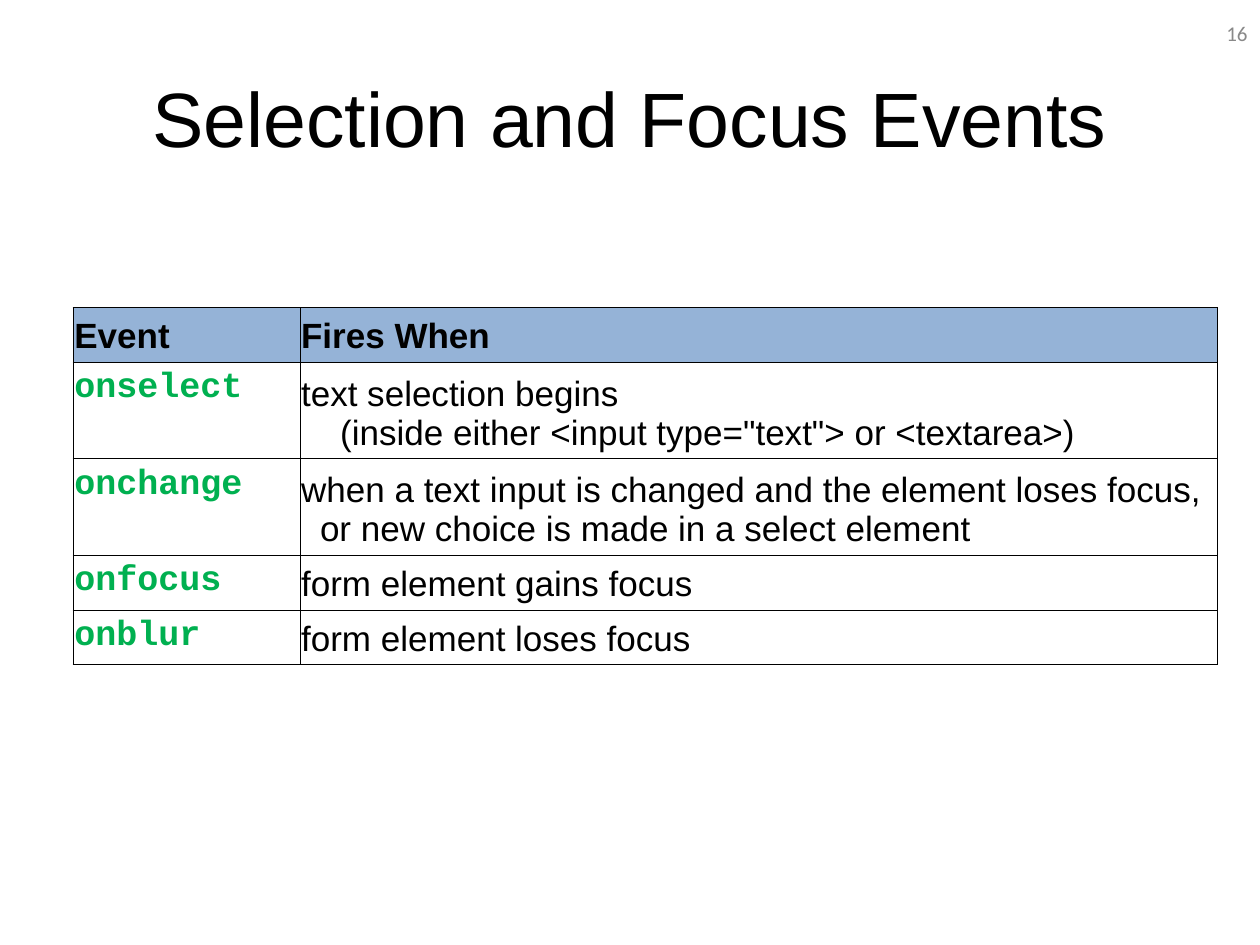
from lxml.etree import SubElement
from pptx import Presentation
from pptx.dml.color import RGBColor
from pptx.enum.text import MSO_ANCHOR, PP_ALIGN
from pptx.oxml.ns import qn
from pptx.util import Inches, Pt

BLACK, GREEN, GRAY, HEADER_BLUE = "000000", "00B050", "898989", "95B3D7"
COLUMN_WIDTHS = (1.8, 7.28)
LINE_HEIGHT = 0.34
HEADINGS = ("Event", "Fires When")
# Event name, description lines, indent of the second line in inches
EVENTS = [
    ("onselect", ["text selection begins",
                  '(inside either <input type="text"> or <textarea>)'], 0.31),
    ("onchange", ["when a text input is changed and the element loses focus,",
                  "or new choice is made in a select element"], 0.15),
    ("onfocus", ["form element gains focus"], 0),
    ("onblur", ["form element loses focus"], 0),
]


def color(value):
    return RGBColor.from_string(value)


def add_run(paragraph, text, size, font_name="Arial", font_color=BLACK, bold=False):
    run = paragraph.add_run()
    run.text = text
    run.font.size = Pt(size)
    run.font.name = font_name
    run.font.bold = bold
    run.font.color.rgb = color(font_color)


def set_title(slide, text):
    title = slide.shapes.title
    title.left, title.top = Inches(0.5), Inches(0.3)
    title.width, title.height = Inches(9), Inches(1.25)
    title.text_frame.vertical_anchor = MSO_ANCHOR.MIDDLE
    paragraph = title.text_frame.paragraphs[0]
    paragraph.alignment = PP_ALIGN.CENTER
    add_run(paragraph, text, 44)


def add_page_number(slide, number):
    box = slide.shapes.add_textbox(Inches(9.25), 0, Inches(0.75), Inches(0.52))
    box.text_frame.word_wrap = True
    box.text_frame.vertical_anchor = MSO_ANCHOR.MIDDLE
    paragraph = box.text_frame.paragraphs[0]
    paragraph.alignment = PP_ALIGN.RIGHT
    add_run(paragraph, number, 12, "Calibri", GRAY)


def add_borders(cell):
    properties = cell._tc.get_or_add_tcPr()
    for side in ("a:lnL", "a:lnR", "a:lnT", "a:lnB"):
        line = SubElement(properties, qn(side), w=str(Pt(0.45)))
        fill = SubElement(line, qn("a:solidFill"))
        SubElement(fill, qn("a:srgbClr"), val=BLACK)


def fill_cell(cell, lines, indent=0, anchor=MSO_ANCHOR.BOTTOM, fill=None, **run_format):
    """Write the lines as paragraphs, indenting all but the first."""
    cell.margin_left = cell.margin_right = Inches(0.01)
    cell.margin_top = cell.margin_bottom = Inches(0.05)
    cell.vertical_anchor = anchor
    add_borders(cell)
    if fill:
        cell.fill.solid()
        cell.fill.fore_color.rgb = color(fill)
    else:
        cell.fill.background()
    frame = cell.text_frame
    for index, line in enumerate(lines):
        paragraph = frame.add_paragraph() if index else frame.paragraphs[0]
        if index:
            paragraph._p.get_or_add_pPr().set("marL", str(Inches(indent)))
        add_run(paragraph, line, 20, **run_format)


def add_event_table(slide):
    line_counts = [1] + [len(lines) for _, lines, _ in EVENTS]
    table = slide.shapes.add_table(
        len(line_counts), len(COLUMN_WIDTHS), Inches(0.58), Inches(2.44),
        Inches(sum(COLUMN_WIDTHS)), Inches(LINE_HEIGHT * sum(line_counts))).table
    for column, width in zip(table.columns, COLUMN_WIDTHS):
        column.width = Inches(width)
    for row, count in zip(table.rows, line_counts):
        row.height = Inches(LINE_HEIGHT * count)
    for column, heading in enumerate(HEADINGS):
        fill_cell(table.cell(0, column), [heading], fill=HEADER_BLUE, bold=True)
    for row, (event, lines, indent) in enumerate(EVENTS, start=1):
        fill_cell(table.cell(row, 0), [event], anchor=MSO_ANCHOR.TOP,
                  font_name="Courier New", font_color=GREEN, bold=True)
        fill_cell(table.cell(row, 1), lines, indent)


def main():
    presentation = Presentation()
    presentation.slide_width, presentation.slide_height = Inches(10), Inches(7.5)
    slide = presentation.slides.add_slide(presentation.slide_layouts[5])
    add_page_number(slide, "16")
    set_title(slide, "Selection and Focus Events")
    add_event_table(slide)
    presentation.save("out.pptx")


if __name__ == "__main__":
    main()
